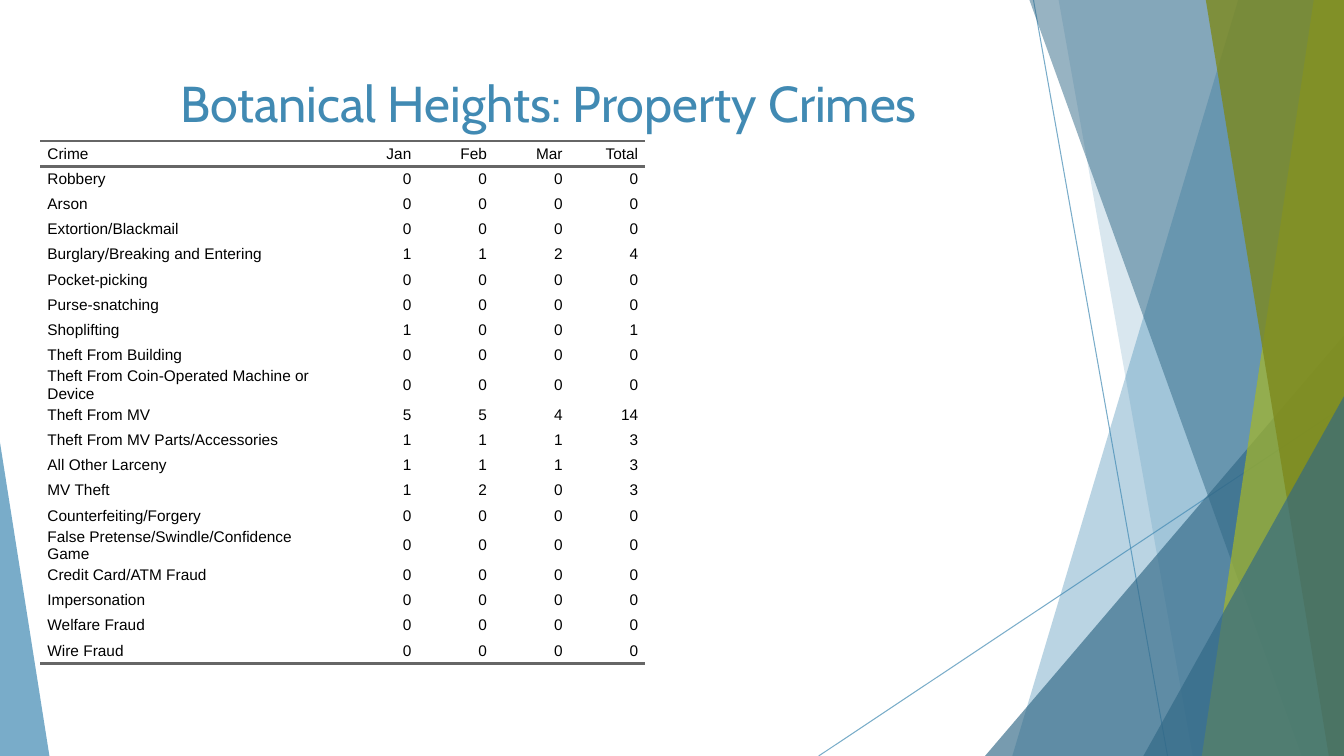
from lxml import etree
from pptx import Presentation
from pptx.dml.color import RGBColor
from pptx.enum.shapes import MSO_CONNECTOR, MSO_SHAPE
from pptx.enum.text import MSO_ANCHOR, PP_ALIGN
from pptx.oxml.ns import qn
from pptx.util import Inches, Pt

STRAIGHT = MSO_CONNECTOR.STRAIGHT
TRIANGLE = MSO_SHAPE.ISOSCELES_TRIANGLE
TOP, MIDDLE = MSO_ANCHOR.TOP, MSO_ANCHOR.MIDDLE
LEFT, CENTER, RIGHT = PP_ALIGN.LEFT, PP_ALIGN.CENTER, PP_ALIGN.RIGHT

WIDTH, HEIGHT = 13.33, 7.5
BLUE, NAVY, LIME, OLIVE = "418AB3", "316886", "A6B727", "7D891D"
BLACK, GRAY = "000000", "666666"
NO_STYLE = "{2D5ABB26-0587-4C30-8999-92F81FD0307C}"

TITLE = "Botanical Heights: Property Crimes"
HEADINGS = ["Crime", "Jan", "Feb", "Mar", "Total"]
CRIMES = [
    ("Robbery", 0, 0, 0),
    ("Arson", 0, 0, 0),
    ("Extortion/Blackmail", 0, 0, 0),
    ("Burglary/Breaking and Entering", 1, 1, 2),
    ("Pocket-picking", 0, 0, 0),
    ("Purse-snatching", 0, 0, 0),
    ("Shoplifting", 1, 0, 0),
    ("Theft From Building", 0, 0, 0),
    ("Theft From Coin-Operated Machine or Device", 0, 0, 0),
    ("Theft From MV", 5, 5, 4),
    ("Theft From MV Parts/Accessories", 1, 1, 1),
    ("All Other Larceny", 1, 1, 1),
    ("MV Theft", 1, 2, 0),
    ("Counterfeiting/Forgery", 0, 0, 0),
    ("False Pretense/Swindle/Confidence Game", 0, 0, 0),
    ("Credit Card/ATM Fraud", 0, 0, 0),
    ("Impersonation", 0, 0, 0),
    ("Welfare Fraud", 0, 0, 0),
    ("Wire Fraud", 0, 0, 0),
]
COLUMN_WIDTHS = [3, 0.75, 0.75, 0.75, 0.75]
ROW_HEIGHT = 0.25
CELL_INDENT = 0.07

RAYS = [(10.25, 0, 11.58, HEIGHT), (WIDTH, 4.03, 8.12, HEIGHT)]
# kind, geometry, colour, opacity percent
FACETS = [
    ("band", (12.28, 10.04), BLUE, 36),
    ("band", (10.5, 11.83), BLUE, 20),
    ("corner", (9.77, 3.33, 3.56, 1), NAVY, 66),
    ("band", (10.21, 12.91), NAVY, 50),
    ("band", (13.03, 11.92), LIME, 70),
    ("band", (11.96, 13.18), OLIVE, 80),
    ("corner", (11.34, 3.93, 1.99, 1), NAVY, 66),
    ("corner", (0, 4.39, 0.49, 0), BLUE, 70),
]


def paint(fill, color, element, opacity):
    fill.solid()
    fill.fore_color.rgb = RGBColor.from_string(color)
    for tint in element.iter(qn("a:srgbClr")):
        etree.SubElement(tint, qn("a:alpha"), val=str(opacity * 1000))


def add_ray(page, ends):
    ray = page.shapes.add_connector(STRAIGHT, *map(Inches, ends))
    ray.line.width = Pt(0.75)
    paint(ray.line.fill, BLUE, ray.element, 70)
    etree.SubElement(ray.element.spPr, qn("a:effectLst"))


def add_facet(page, kind, geometry, color, opacity):
    if kind == "band":
        top_x, bottom_x = geometry
        outline = page.shapes.build_freeform(Inches(top_x), 0)
        corners = [(WIDTH, 0), (WIDTH, HEIGHT), (bottom_x, HEIGHT)]
        outline.add_line_segments([(Inches(x), Inches(y)) for x, y in corners])
        facet = outline.convert_to_shape()
    else:
        left, top, width, apex = geometry
        facet = page.shapes.add_shape(
            TRIANGLE, Inches(left), Inches(top), Inches(width), Inches(HEIGHT - top))
        facet.adjustments[0] = apex
    facet.shadow.inherit = False
    facet.line.fill.background()
    paint(facet.fill, color, facet.element, opacity)


def add_rule(cell, side):
    rule = etree.Element(qn(f"a:{side}"), w=str(Pt(2)))
    fill = etree.SubElement(rule, qn("a:solidFill"))
    etree.SubElement(fill, qn("a:srgbClr"), val=GRAY)
    properties = cell._tc.get_or_add_tcPr()
    properties.insert(len(properties) - 1, rule)


def style(para, font, size, color, align):
    para.alignment = align
    para.font.name = font
    para.font.size = Pt(size)
    para.font.color.rgb = RGBColor.from_string(color)


def fill_cell(cell, text, align):
    cell.text = text
    cell.fill.background()
    cell.vertical_anchor = MIDDLE
    cell.margin_left = cell.margin_right = cell.margin_top = cell.margin_bottom = 0
    para = cell.text_frame.paragraphs[0]
    style(para, "Arial", 11, BLACK, align)
    for side in ("marL", "marR"):
        para._p.get_or_add_pPr().set(side, str(Inches(CELL_INDENT)))


def add_crime_table(page):
    rows = [HEADINGS] + [[name, *counts, sum(counts)] for name, *counts in CRIMES]
    frame = page.shapes.add_table(
        len(rows), len(HEADINGS), Inches(0.4), Inches(1.4),
        Inches(sum(COLUMN_WIDTHS)), Inches(ROW_HEIGHT * len(rows)))
    table = frame.table
    table.first_row = table.horz_banding = False
    table._tbl.tblPr.find(qn("a:tableStyleId")).text = NO_STYLE
    for column, width in zip(table.columns, COLUMN_WIDTHS):
        column.width = Inches(width)
    for row_index, values in enumerate(rows):
        table.rows[row_index].height = Inches(ROW_HEIGHT)
        for column_index, value in enumerate(values):
            cell = table.cell(row_index, column_index)
            fill_cell(cell, str(value), RIGHT if column_index else LEFT)
            if row_index == 0:
                add_rule(cell, "lnT")
            if row_index in (0, len(rows) - 1):
                add_rule(cell, "lnB")


def place_title(page):
    title = page.shapes.title
    title.left, title.top = Inches(0.74), Inches(0.67)
    title.width, title.height = Inches(9.4), Inches(1.44)
    title.text_frame.text = TITLE
    title.text_frame.word_wrap = True
    title.text_frame.vertical_anchor = TOP
    style(title.text_frame.paragraphs[0], "Cabin", 36, BLUE, CENTER)
    page.shapes._spTree.append(title.element)


def main():
    deck = Presentation()
    deck.slide_width, deck.slide_height = Inches(WIDTH), Inches(HEIGHT)
    page = deck.slides.add_slide(deck.slide_layouts[5])
    for ends in RAYS:
        add_ray(page, ends)
    for facet in FACETS:
        add_facet(page, *facet)
    add_crime_table(page)
    place_title(page)
    deck.save("out.pptx")


if __name__ == "__main__":
    main()
